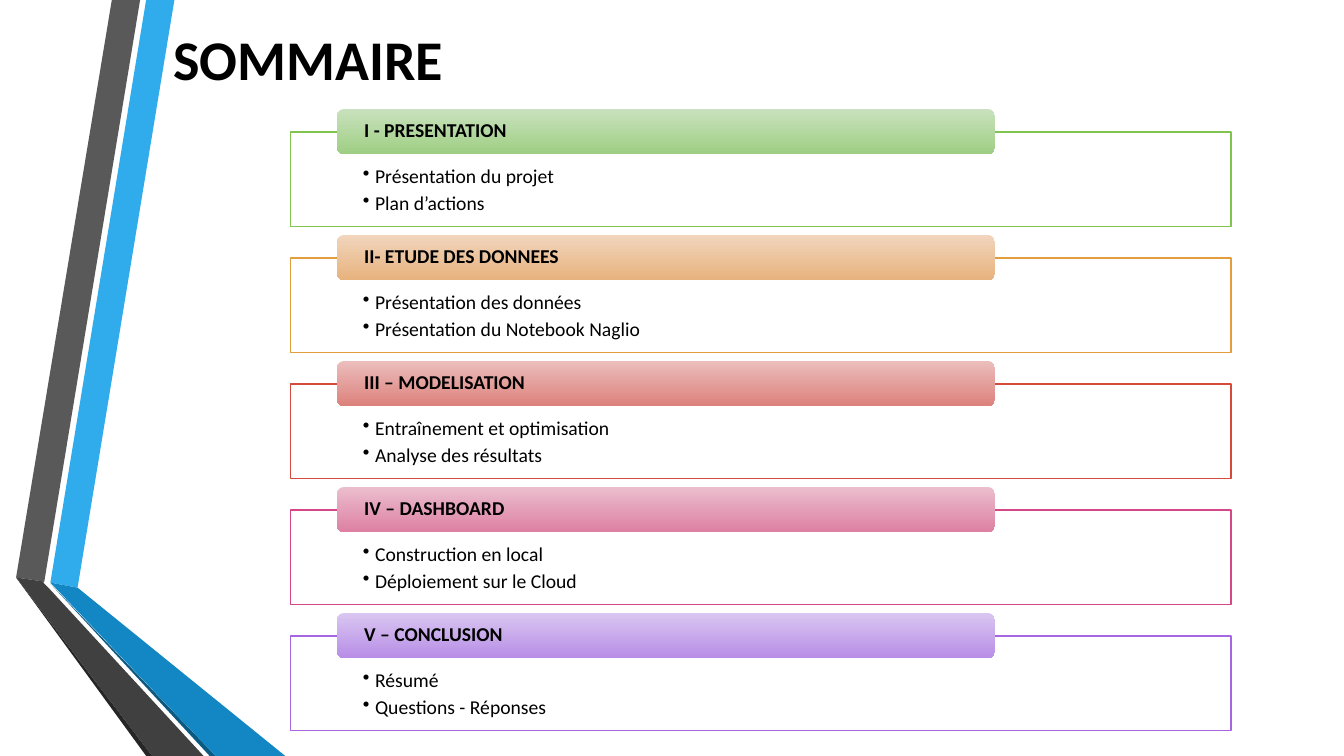
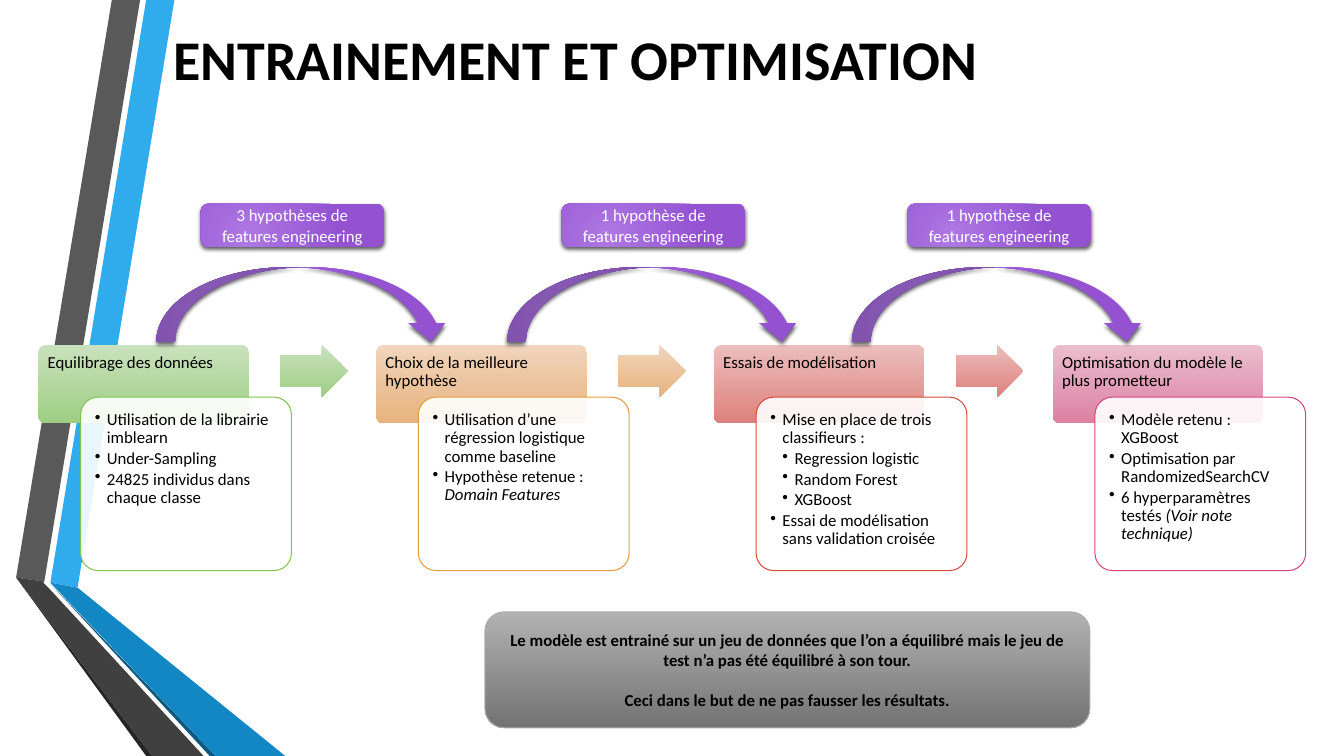
from typing import NamedTuple

from lxml.etree import SubElement
from pptx import Presentation
from pptx.dml.color import RGBColor
from pptx.enum.shapes import MSO_SHAPE as SHAPE
from pptx.enum.text import MSO_ANCHOR as ANCHOR, PP_ALIGN as ALIGN
from pptx.oxml.ns import qn
from pptx.util import Emu, Pt

PX = 9144  # one hundredth of an inch

BLACK = RGBColor(0x00, 0x00, 0x00)
WHITE = RGBColor(0xFF, 0xFF, 0xFF)
SKY = RGBColor(0x30, 0xAC, 0xEC)
BLUE = RGBColor(0x12, 0x87, 0xC3)
DEEP_BLUE = RGBColor(0x0C, 0x5A, 0x82)
GREY = RGBColor(0x59, 0x59, 0x59)
DARK_GREY = RGBColor(0x40, 0x40, 0x40)
NEAR_BLACK = RGBColor(0x26, 0x26, 0x26)
SILVER = RGBColor(0xAB, 0xAB, 0xAB)
STEEL = (RGBColor(0xB2, 0xB2, 0xB2), RGBColor(0x73, 0x73, 0x73))
VIOLET = (RGBColor(0xAE, 0x78, 0xE3), RGBColor(0x94, 0x52, 0xD1))


class Accent(NamedTuple):
    light: RGBColor
    dark: RGBColor
    line: RGBColor


GREEN = Accent(RGBColor(0xC9, 0xE2, 0xBE), RGBColor(0x9E, 0xCE, 0x83), RGBColor(0x80, 0xC3, 0x4F))
ORANGE = Accent(RGBColor(0xF1, 0xD5, 0xBD), RGBColor(0xE7, 0xB2, 0x7D), RGBColor(0xE2, 0x9D, 0x3E))
RED = Accent(RGBColor(0xEB, 0xBE, 0xBC), RGBColor(0xDD, 0x81, 0x7C), RGBColor(0xD6, 0x4A, 0x3B))
PINK = Accent(RGBColor(0xEB, 0xBE, 0xCD), RGBColor(0xDD, 0x80, 0xA2), RGBColor(0xD6, 0x47, 0x87))
PURPLE = Accent(RGBColor(0xD9, 0xC6, 0xF1), RGBColor(0xB8, 0x8E, 0xE6), RGBColor(0xA6, 0x66, 0xE1))

RIBBONS = [
    (SKY, [(50, 578), (77, 583), (173, 0), (145, 0)]),
    (GREY, [(139, 0), (111, 0), (16, 573), (44, 577)]),
    (NEAR_BLACK, [(16, 573), (145, 750), (151, 750)]),
    (DEEP_BLUE, [(50, 579), (208, 750), (214, 750)]),
    (BLUE, [(50, 578), (214, 750), (283, 750), (77, 583)]),
    (DARK_GREY, [(202, 750), (48, 583), (43, 578), (44, 577), (16, 573), (151, 750)]),
]


class Item(NamedTuple):
    """A paragraph; level 0 has no bullet, and italic text follows the plain text."""
    text: str
    italic: str = ""
    level: int = 1


class Deck:
    FONT = "Calibri"

    def __init__(self):
        self.deck = Presentation()
        self.deck.slide_width, self.deck.slide_height = Emu(1333 * PX), Emu(750 * PX)
        self.page = None

    def add_page(self, title):
        self.page = self.deck.slides.add_slide(self.deck.slide_layouts[6])
        for color, (start, *others) in RIBBONS:
            builder = self.page.shapes.build_freeform(*start, scale=PX)
            builder.add_line_segments(others)
            self.paint(builder.convert_to_shape(), color)
        box = self.page.shapes.add_textbox(*(Emu(n * PX) for n in (162, 0, 1096, 116)))
        self.set_text(box, [Item(title, level=0)], 40, bold=True, anchor=ANCHOR.MIDDLE)

    def paint(self, shape, fill, line=None):
        """Fill with one colour or a downward (top, bottom) gradient."""
        shape.shadow.inherit = False
        if isinstance(fill, RGBColor):
            shape.fill.solid()
            shape.fill.fore_color.rgb = fill
        else:
            shape.fill.gradient()
            shape.fill.gradient_angle = 270
            for stop, color in zip(shape.fill.gradient_stops, fill):
                stop.color.rgb = color
        if line is None:
            shape.line.fill.background()
        else:
            shape.line.color.rgb = line
            shape.line.width = Pt(0.75)

    def shape(self, kind, at, fill, line=None, adjust=()):
        shape = self.page.shapes.add_shape(kind, *(Emu(n * PX) for n in at))
        for index, value in enumerate(adjust):
            shape.adjustments[index] = value
        self.paint(shape, fill, line)
        return shape

    def sheet(self, kind, at, line, adjust=()):
        """White, slightly transparent box with a coloured outline."""
        shape = self.shape(kind, at, WHITE, line, adjust)
        color = shape._element.spPr.find(qn("a:solidFill"))[0]
        SubElement(color, qn("a:alpha"), val="90000")
        return shape

    def glossy(self, kind, at):
        """Violet shape with a radial gradient and a soft shadow."""
        shape = self.shape(kind, at, VIOLET)
        properties = shape._element.spPr
        gradient = properties.find(qn("a:gradFill"))
        gradient.remove(gradient.find(qn("a:lin")))
        radial = SubElement(gradient, qn("a:path"), path="circle")
        SubElement(radial, qn("a:fillToRect"), l="50000", t="100000", r="100000", b="50000")
        shadow = SubElement(properties.find(qn("a:effectLst")), qn("a:outerShdw"),
                            blurRad=str(Pt(3)), dist=str(Pt(2)), dir="5400000", rotWithShape="0")
        SubElement(SubElement(shadow, qn("a:srgbClr"), val="000000"), qn("a:alpha"), val="64000")
        return shape

    def set_text(self, shape, items, size, color=BLACK, bold=False, insets=(10, 5, 10, 5),
                 anchor=ANCHOR.TOP, align=ALIGN.LEFT, spacing=1.0, gap=0.0):
        """Fill a shape with paragraphs; gap is the space between them in points."""
        frame = shape.text_frame
        left, top, right, bottom = (Emu(n * PX) for n in insets)
        frame_format = {"word_wrap": True, "vertical_anchor": anchor, "margin_left": left,
                        "margin_top": top, "margin_right": right, "margin_bottom": bottom}
        for name, value in frame_format.items():
            setattr(frame, name, value)
        for index, item in enumerate(items):
            para = frame.add_paragraph() if index else frame.paragraphs[0]
            para_format = {"alignment": align, "line_spacing": spacing,
                           "space_after": Pt(gap), "level": item.level}
            for name, value in para_format.items():
                setattr(para, name, value)
            if item.level:
                properties = para._p.get_or_add_pPr()
                properties.set("marL", str(12 * item.level * PX))
                properties.set("indent", str(-12 * PX))
                SubElement(properties, qn("a:buChar"), char="•")
            for text, italic in ((item.text, False), (item.italic, True)):
                if not text:
                    continue
                span = para.add_run()
                span.text = text
                span.font.color.rgb = color
                font_format = {"name": self.FONT, "size": Pt(size), "bold": bold, "italic": italic}
                for name, value in font_format.items():
                    setattr(span.font, name, value)

    def chapter(self, top, accent, heading, topics):
        panel = self.sheet(SHAPE.RECTANGLE, (288, top + 23, 933, 94), accent.line)
        self.set_text(panel, [Item(topic) for topic in topics], 14, insets=(72, 32, 72, 11),
                      gap=2.1)
        tab = self.shape(SHAPE.ROUNDED_RECTANGLE, (334, top, 653, 45), accent[:2])
        self.set_text(tab, [Item(heading, level=0)], 14, bold=True, insets=(25, 0, 25, 0),
                      anchor=ANCHOR.MIDDLE, spacing=0.9)

    def step(self, left, accent, heading, items):
        header = self.shape(SHAPE.ROUNDED_RECTANGLE, (left, 342, 209, 78), accent[:2], adjust=[0.1])
        self.set_text(header, [Item(heading, level=0)], 12, insets=(7, 7, 7, 5), spacing=0.9)
        card = self.sheet(SHAPE.ROUNDED_RECTANGLE, (left + 42, 394, 209, 172), accent.line, [0.1])
        self.set_text(card, items, 12, insets=(9, 9, 9, 9), spacing=0.9, gap=1.8)

    def bridge(self, arrow_left, label_left, text):
        """Curved arrow between two steps, with a label above it."""
        self.glossy(SHAPE.CURVED_DOWN_ARROW, (arrow_left, 265, 291, 74))
        label = self.glossy(SHAPE.ROUNDED_RECTANGLE, (label_left, 202, 182, 43))
        self.set_text(label, [Item(text, level=0)], 12, WHITE, anchor=ANCHOR.MIDDLE,
                      align=ALIGN.CENTER)

    def note(self, at, lines):
        box = self.shape(SHAPE.ROUNDED_RECTANGLE, at, STEEL, SILVER)
        self.set_text(box, [Item(line, level=0) for line in lines], 12, bold=True,
                      anchor=ANCHOR.MIDDLE, align=ALIGN.CENTER, gap=14.6)


CHAPTERS = [
    (GREEN, "I - PRESENTATION", ["Présentation du projet", "Plan d’actions"]),
    (ORANGE, "II- ETUDE DES DONNEES", ["Présentation des données", "Présentation du Notebook Naglio"]),
    (RED, "III – MODELISATION", ["Entraînement et optimisation", "Analyse des résultats"]),
    (PINK, "IV – DASHBOARD", ["Construction en local", "Déploiement sur le Cloud"]),
    (PURPLE, "V – CONCLUSION", ["Résumé", "Questions - Réponses"]),
]

STEPS = [
    (GREEN, "Equilibrage des données", [
        Item("Utilisation de la librairie imblearn"),
        Item("Under-Sampling"),
        Item("24825 individus dans chaque classe")]),
    (ORANGE, "Choix de la meilleure hypothèse", [
        Item("Utilisation d’une régression logistique comme baseline"),
        Item("Hypothèse retenue : ", "Domain Features")]),
    (RED, "Essais de modélisation", [
        Item("Mise en place de trois classifieurs :"),
        Item("Regression logistic", level=2),
        Item("Random Forest", level=2),
        Item("XGBoost", level=2),
        Item("Essai de modélisation sans validation croisée")]),
    (PINK, "Optimisation du modèle le plus prometteur", [
        Item("Modèle retenu : XGBoost"),
        Item("Optimisation par RandomizedSearchCV"),
        Item("6 hyperparamètres testés ", "(Voir note technique)")]),
]

BRIDGES = [
    (155, 199, "3 hypothèses de features engineering"),
    (503, 557, "1 hypothèse de features engineering"),
    (845, 900, "1 hypothèse de features engineering"),
]


def main():
    deck = Deck()

    deck.add_page("SOMMAIRE")
    for index, chapter in enumerate(CHAPTERS):
        deck.chapter(108 + 125 * index, *chapter)

    deck.add_page("ENTRAINEMENT ET OPTIMISATION")
    for index, (accent, heading, items) in enumerate(STEPS):
        left = 38 + 1006 * index // 3
        deck.step(left, accent, heading, items)
        if index < len(STEPS) - 1:
            deck.shape(SHAPE.RIGHT_ARROW, (left + 240, 342, 67, 52), accent[:2], adjust=[0.6, 0.5])
    for bridge in BRIDGES:
        deck.bridge(*bridge)
    deck.note((481, 607, 600, 115), [
        "Le modèle est entrainé sur un jeu de données que l’on a équilibré "
        "mais le jeu de test n’a pas été équilibré à son tour.",
        "Ceci dans le but de ne pas fausser les résultats."])

    deck.deck.save("out.pptx")


if __name__ == "__main__":
    main()
